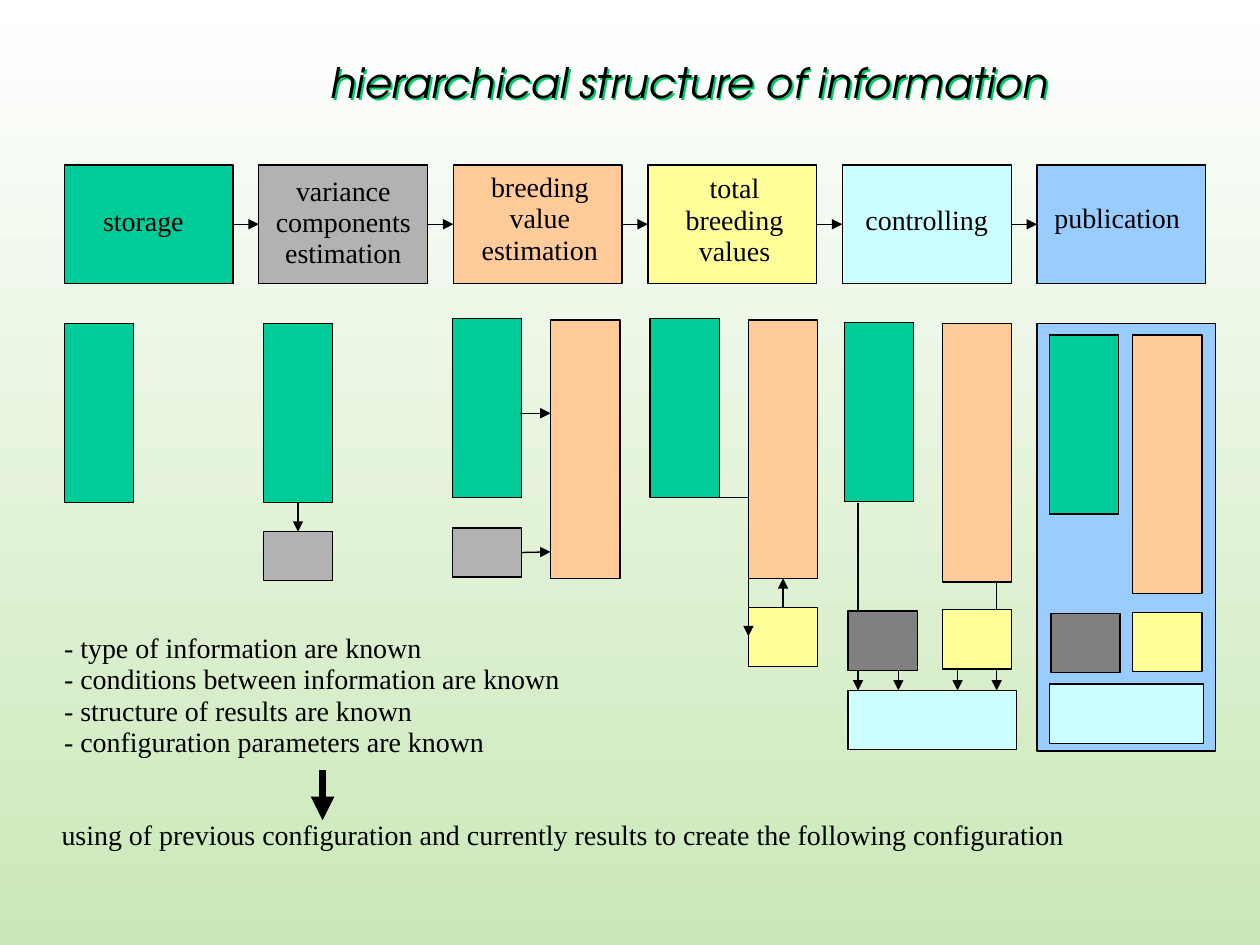
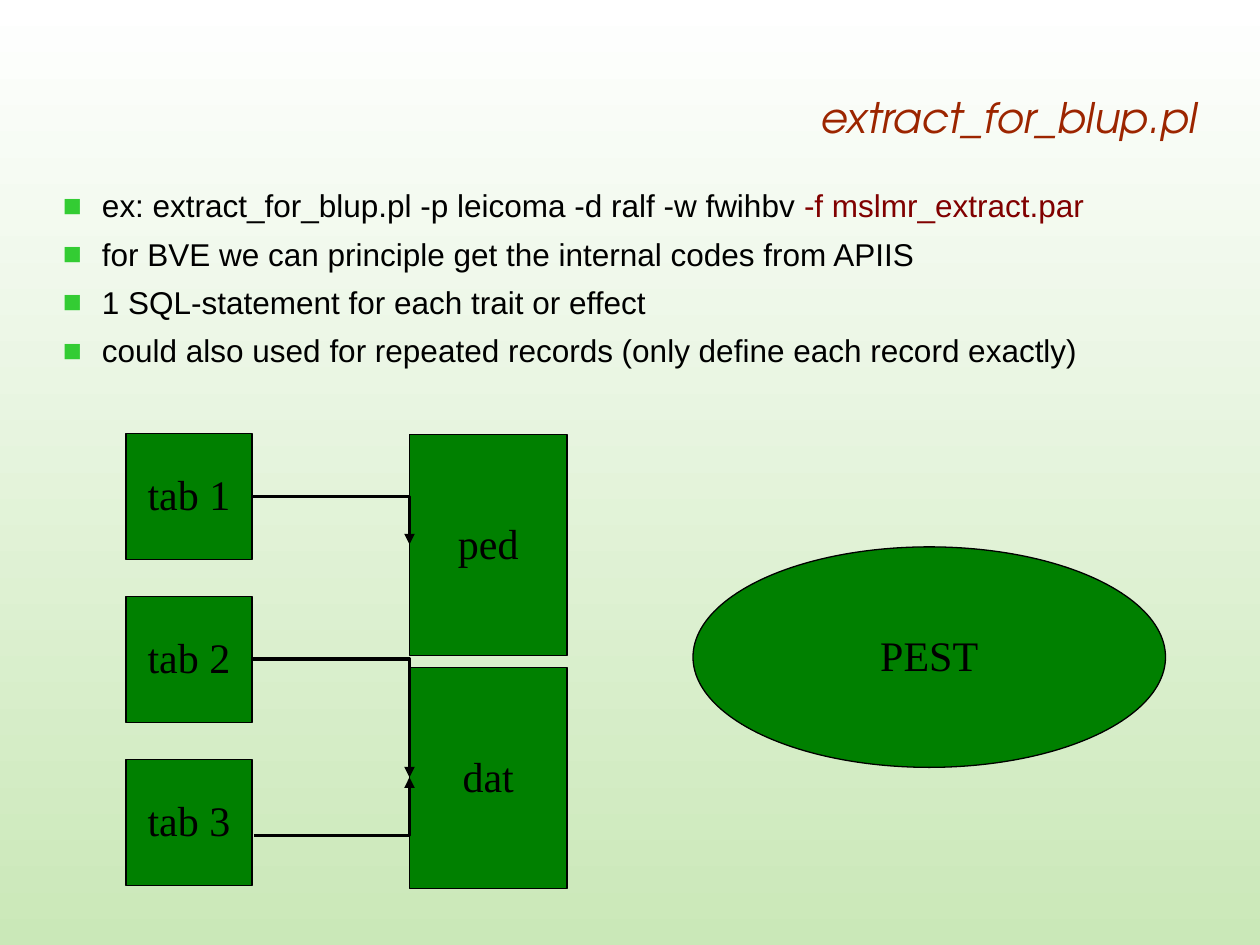
from dataclasses import dataclass
from typing import NamedTuple

from lxml.etree import SubElement
from pptx import Presentation
from pptx.dml.color import RGBColor
from pptx.enum.shapes import MSO_CONNECTOR as Connector
from pptx.enum.shapes import MSO_SHAPE as Preset
from pptx.enum.text import MSO_ANCHOR as Anchor
from pptx.enum.text import PP_ALIGN as Align
from pptx.oxml.ns import qn
from pptx.util import Inches, Pt


@dataclass(frozen=True)
class Theme:
    title_font: str = "TeX Gyre Adventor"
    body_font: str = "Arial"
    label_font: str = "Times New Roman"
    title_size: float = 24
    body_size: float = 18
    label_size: float = 16
    node_size: float = 24
    label_spacing: float = 0.93
    line_width: float = 0.75
    black: str = "000000"
    page_top: str = "FFFFFF"
    page_bottom: str = "CAE8B8"
    title_shadow: str = "00CC66"
    title_red: str = "9C2500"
    option_red: str = "800000"
    bullet: str = "33CC33"
    node: str = "008000"
    storage: str = "00CC99"
    variance: str = "B2B2B2"
    variance_dark: str = "808080"
    breeding: str = "FFCC99"
    total: str = "FFFF99"
    controlling: str = "CCFFFF"
    publication: str = "99CCFF"


THEME = Theme()


class Area(NamedTuple):
    left: float
    top: float
    width: float
    height: float


class Step(NamedTuple):
    label: str
    color: str
    label_area: Area
    align: Align = Align.LEFT


class Kind(NamedTuple):
    color: str
    width: float
    height: float


class Block(NamedTuple):
    kind: Kind
    left: float
    top: float


STEPS = [
    Step("storage", THEME.storage, Area(0.72, 1.59, 0.94, 0.33)),
    Step("variance\ncomponents\nestimation", THEME.variance,
         Area(2.02, 1.35, 1.41, 0.79), Align.CENTER),
    Step("breeding\nvalue\nestimation", THEME.breeding,
         Area(3.68, 1.32, 1.21, 0.79), Align.CENTER),
    Step("total\nbreeding\nvalues", THEME.total,
         Area(5.3, 1.33, 1.06, 0.79), Align.CENTER),
    Step("controlling", THEME.controlling, Area(6.77, 1.58, 1.21, 0.33)),
    Step("publication", THEME.publication, Area(8.27, 1.57, 1.26, 0.33)),
]
FIRST_STEP, LAST_STEP = 0.51, 8.23
STEP_PITCH = (LAST_STEP - FIRST_STEP) / (len(STEPS) - 1)

STORAGE = Kind(THEME.storage, 0.55, 1.42)
BREEDING = Kind(THEME.breeding, 0.55, 2.05)
VARIANCE = Kind(THEME.variance, 0.55, 0.39)
VARIANCE_DARK = Kind(THEME.variance_dark, 0.55, 0.47)
TOTAL = Kind(THEME.total, 0.55, 0.47)
CONTROLLING = Kind(THEME.controlling, 1.34, 0.47)
CONTROLLING_SMALL = Kind(THEME.controlling, 1.22, 0.47)

BLOCKS = {
    "storage": [Block(STORAGE, 0.51, 2.57)],
    "variance": [Block(STORAGE, 2.09, 2.57), Block(VARIANCE, 2.09, 4.22)],
    "breeding": [Block(STORAGE, 3.59, 2.53), Block(VARIANCE, 3.59, 4.19),
                 Block(BREEDING, 4.37, 2.54)],
    "total": [Block(STORAGE, 5.16, 2.53), Block(BREEDING, 5.94, 2.54),
              Block(TOTAL, 5.94, 4.82)],
    "controlling": [Block(STORAGE, 6.7, 2.56), Block(BREEDING, 7.48, 2.57),
                    Block(TOTAL, 7.48, 4.84), Block(CONTROLLING, 6.73, 5.48),
                    Block(VARIANCE_DARK, 6.73, 4.85)],
    "publication": [Block(STORAGE, 8.33, 2.66), Block(BREEDING, 8.99, 2.66),
                    Block(TOTAL, 8.99, 4.86), Block(CONTROLLING_SMALL, 8.33, 5.43),
                    Block(VARIANCE_DARK, 8.34, 4.87)],
}
KNOWN_FACTS = """- type of information are known
- conditions between information are known
- structure of results are known
- configuration parameters are known"""
CONCLUSION = ("using of previous configuration and currently results "
              "to create the following configuration")
BULLETS = [
    ["ex: extract_for_blup.pl -p leicoma -d ralf -w fwihbv ", "-f mslmr_extract.par"],
    ["for BVE we can principle get the internal codes from APIIS"],
    ["1 SQL-statement for each trait or effect"],
    ["could also used for repeated records (only define each record exactly)"],
]


def inches(values):
    return [Inches(value) for value in values]


def format_font(font, name: str, size: float, color: str, italic: bool = False) -> None:
    font.name, font.size, font.italic = name, Pt(size), italic
    font.color.rgb = RGBColor.from_string(color)


def write_text(shape, text: str, *, font=THEME.label_font, size=THEME.label_size,
               color=THEME.black, italic=False, align=Align.LEFT, anchor=Anchor.TOP,
               spacing=THEME.label_spacing, insets=(0.1, 0.05)) -> None:
    """Fill a shape with one paragraph per line of text."""
    frame = shape.text_frame
    frame.word_wrap = True
    frame.vertical_anchor = anchor
    frame.margin_left = frame.margin_right = Inches(insets[0])
    frame.margin_top = frame.margin_bottom = Inches(insets[1])
    frame.text = text
    for paragraph in frame.paragraphs:
        paragraph.alignment = align
        paragraph.line_spacing = spacing
        format_font(paragraph.runs[0].font, font, size, color, italic)


def add_text(slide, area: Area, text: str, **text_format):
    shape = slide.shapes.add_textbox(*inches(area))
    write_text(shape, text, **text_format)
    return shape


def add_title(slide, area: Area, text: str, **text_format):
    return add_text(slide, area, text, font=THEME.title_font, size=THEME.title_size,
                    italic=True, spacing=1.0, **text_format)


def add_title_shadow(title) -> None:
    effects = SubElement(title._element.spPr, qn("a:effectLst"))
    shadow = SubElement(effects, qn("a:outerShdw"), dist=str(Inches(0.02)),
                        dir="2700000", algn="ctr", rotWithShape="0")
    SubElement(shadow, qn("a:srgbClr"), val=THEME.title_shadow)


def add_box(slide, area: Area, color: str, preset=Preset.RECTANGLE,
            line_width: float = THEME.line_width):
    shape = slide.shapes.add_shape(preset, *inches(area))
    shape.shadow.inherit = False
    shape.fill.solid()
    shape.fill.fore_color.rgb = RGBColor.from_string(color)
    shape.line.color.rgb = RGBColor.from_string(THEME.black)
    shape.line.width = Pt(line_width)
    return shape


def add_block(slide, block: Block):
    area = Area(block.left, block.top, block.kind.width, block.kind.height)
    return add_box(slide, area, block.kind.color)


def add_arrow(slide, start=(0, 0), end=(0, 0), width: float = THEME.line_width,
              elbow: bool = False):
    """Draw an arrow; an elbow runs sideways first, then up or down."""
    kind = Connector.ELBOW if elbow else Connector.STRAIGHT
    arrow = slide.shapes.add_connector(kind, *inches((*start, *end)))
    if elbow:
        arrow._element.spPr.find(qn("a:prstGeom")).set("prst", "bentConnector2")
    arrow.line.color.rgb = RGBColor.from_string(THEME.black)
    arrow.line.width = Pt(width)
    SubElement(arrow.line._get_or_add_ln(), qn("a:tailEnd"), type="triangle")
    SubElement(arrow._element.spPr, qn("a:effectLst"))
    return arrow


def join(slide, source, source_side: int, target, target_side: int) -> None:
    arrow = add_arrow(slide)
    arrow.begin_connect(source, source_side)
    arrow.end_connect(target, target_side)


def add_slide(presentation):
    slide = presentation.slides.add_slide(presentation.slide_layouts[6])
    fill = slide.background.fill
    fill.gradient()
    fill.gradient_angle = 270
    for stop, color in zip(fill.gradient_stops, (THEME.page_top, THEME.page_bottom)):
        stop.color.rgb = RGBColor.from_string(color)
    return slide


def build_hierarchy(presentation) -> None:
    slide = add_slide(presentation)
    add_box(slide, Area(LAST_STEP, 2.57, 1.42, 3.39), THEME.publication)
    add_arrow(slide, (7.91, 4.62), (7.91, 5.48))
    add_arrow(slide, (6.81, 3.99), (6.81, 5.48))
    title = add_title(slide, Area(1.22, 0.34, 8.5, 0.56),
                      "hierarchical structure of information",
                      align=Align.CENTER, anchor=Anchor.BOTTOM)
    add_title_shadow(title)

    step_boxes = [
        add_box(slide, Area(FIRST_STEP + index * STEP_PITCH, 1.31, 1.34, 0.94), step.color)
        for index, step in enumerate(STEPS)
    ]
    for step in STEPS:
        add_text(slide, step.label_area, step.label, align=step.align)
    for previous, following in zip(step_boxes, step_boxes[1:]):
        join(slide, previous, 3, following, 1)

    shapes = {name: [add_block(slide, block) for block in blocks]
              for name, blocks in BLOCKS.items()}
    storage, variance = shapes["variance"]
    join(slide, storage, 2, variance, 0)
    add_arrow(slide, (4.13, 3.28), (4.37, 3.28))
    variance_arrow = add_arrow(slide, (4.14, 4.38), (4.37, 4.38))
    variance_arrow.begin_connect(shapes["breeding"][1], 3)
    _, breeding, total = shapes["total"]
    join(slide, total, 0, breeding, 2)
    add_arrow(slide, (5.43, 3.95), (5.94, 5.05), elbow=True)
    for left in (7.13, 7.6):
        add_arrow(slide, (left, 5.32), (left, 5.48))

    add_text(slide, Area(0.39, 6.46, 8.95, 0.33), CONCLUSION)
    add_text(slide, Area(0.41, 4.98, 4.48, 1.02), KNOWN_FACTS)
    add_arrow(slide, (2.56, 6.11), (2.56, 6.51), width=4.5)


def add_bullets(slide, area: Area) -> None:
    frame = slide.shapes.add_textbox(*inches(area)).text_frame
    frame.word_wrap = True
    frame.margin_left = frame.margin_right = frame.margin_top = frame.margin_bottom = 0
    for index, parts in enumerate(BULLETS):
        paragraph = frame.paragraphs[0] if index == 0 else frame.add_paragraph()
        paragraph.space_after = Pt(6)
        properties = paragraph._p.get_or_add_pPr()
        properties.set("marL", str(Inches(0.31)))
        properties.set("indent", str(Inches(-0.31)))
        bullet_color = SubElement(properties, qn("a:buClr"))
        SubElement(bullet_color, qn("a:srgbClr"), val=THEME.bullet)
        SubElement(properties, qn("a:buFont"), typeface=THEME.body_font)
        SubElement(properties, qn("a:buChar"), char="■")
        for part, color in zip(parts, (THEME.black, THEME.option_red)):
            run = paragraph.add_run()
            run.text = part
            format_font(run.font, THEME.body_font, THEME.body_size, color)


def build_extraction(presentation) -> None:
    slide = add_slide(presentation)
    add_title(slide, Area(0.5, 0.35, 9, 1.15), "extract_for_blup.pl",
              color=THEME.title_red, align=Align.RIGHT, anchor=Anchor.MIDDLE, insets=(0, 0))
    add_bullets(slide, Area(0.5, 1.48, 9, 4.85))

    nodes = [(f"tab {number + 1}", Area(1, 3.44 + 1.295 * number, 1, 1), Preset.RECTANGLE)
             for number in range(3)]
    nodes += [
        ("ped", Area(3.25, 3.45, 1.25, 1.75), Preset.RECTANGLE),
        ("dat", Area(3.25, 5.3, 1.25, 1.75), Preset.RECTANGLE),
        ("PEST", Area(5.5, 4.34, 3.75, 1.75), Preset.OVAL),
    ]
    for label, area, preset in nodes:
        shape = add_box(slide, area, THEME.node, preset, line_width=0)
        write_text(shape, label, size=THEME.node_size, align=Align.CENTER,
                   anchor=Anchor.MIDDLE)
    for start, end in (((2, 3.94), (3.25, 4.32)), ((2, 5.23), (3.25, 6.17)),
                       ((2.02, 6.63), (3.25, 6.17))):
        add_arrow(slide, start, end, width=0, elbow=True)


def main() -> None:
    presentation = Presentation()
    presentation.slide_width, presentation.slide_height = Inches(10), Inches(7.5)
    build_hierarchy(presentation)
    build_extraction(presentation)
    presentation.save("out.pptx")


if __name__ == "__main__":
    main()
